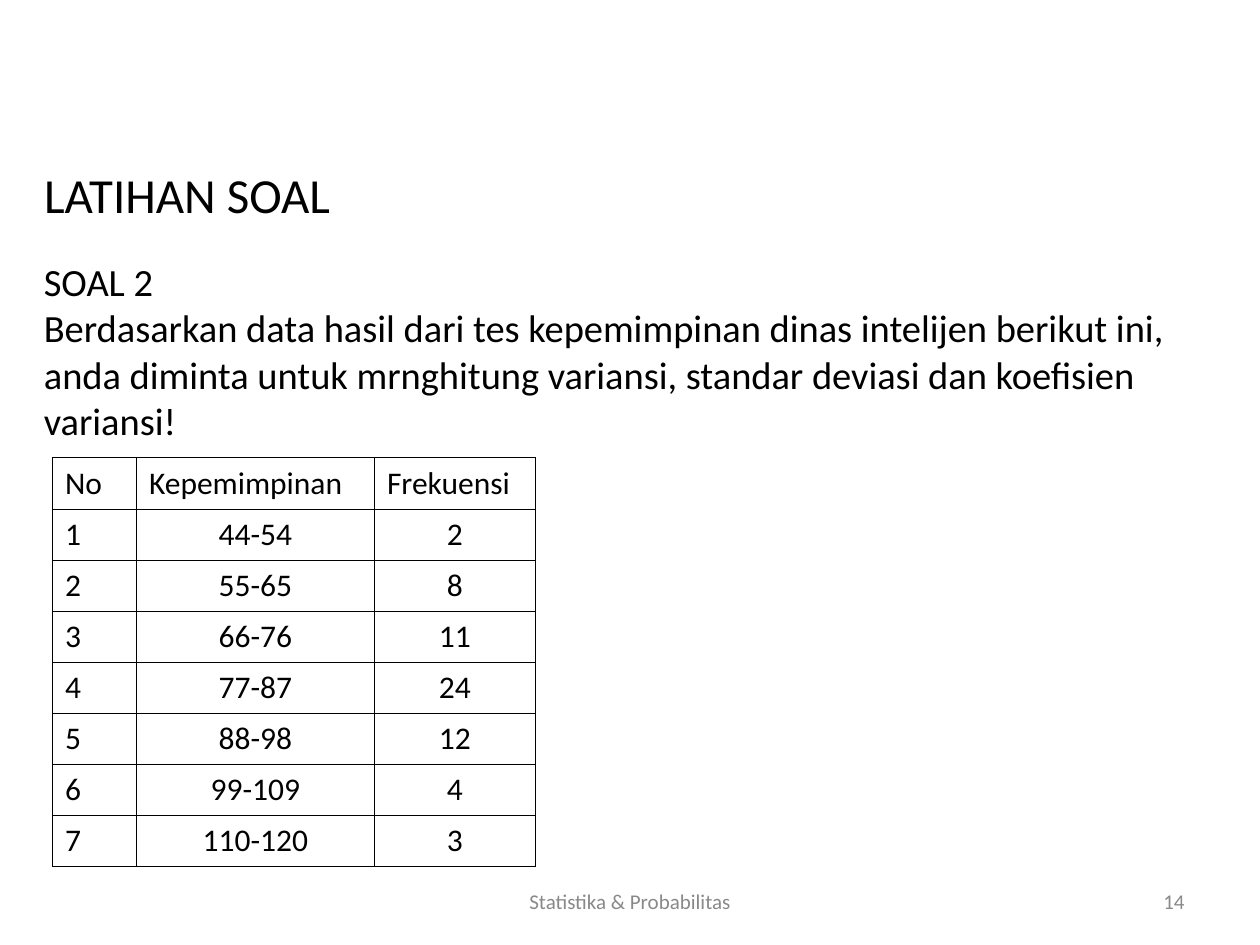
from lxml.etree import SubElement
from pptx import Presentation
from pptx.dml.color import RGBColor
from pptx.enum.text import MSO_ANCHOR as Anchor, MSO_AUTO_SIZE as AutoSize, PP_ALIGN as Align
from pptx.oxml.ns import qn
from pptx.util import Pt

TITLE = "LATIHAN SOAL"
QUESTION = [
    "SOAL 2",
    "Berdasarkan data hasil dari tes kepemimpinan dinas intelijen berikut ini, "
    "anda diminta untuk mrnghitung variansi, standar deviasi dan koefisien variansi!",
]
FOOTER = "Statistika & Probabilitas"
PAGE_NUMBER = "14"
HEADER = ("No", "Kepemimpinan", "Frekuensi")
SCORES = [
    ("44-54", 2),
    ("55-65", 8),
    ("66-76", 11),
    ("77-87", 24),
    ("88-98", 12),
    ("99-109", 4),
    ("110-120", 3),
]

FONT = "Calibri"
COLORS = {"text": "000000", "footer": "898989", "border": "000000"}
COLUMN_WIDTHS = (48, 136, 92)
ROW_HEIGHT = 28.8
BORDER_WIDTH = 0.45


def style_paragraph(paragraph, size, color="text", align=Align.LEFT):
    paragraph.alignment = align
    font = paragraph.font
    font.name, font.size, font.bold = FONT, Pt(size), False
    font.color.rgb = RGBColor.from_string(COLORS[color])


def fill_box(box, place, lines, size, color="text", align=Align.LEFT, anchor=Anchor.MIDDLE):
    box.left, box.top, box.width, box.height = (Pt(length) for length in place)
    frame = box.text_frame
    frame.word_wrap = True
    frame.auto_size = AutoSize.NONE
    frame.vertical_anchor = anchor
    frame.text = "\n".join(lines)
    for paragraph in frame.paragraphs:
        style_paragraph(paragraph, size, color, align)


def add_text(page, place, lines, size, **style):
    fill_box(page.shapes.add_textbox(0, 0, 0, 0), place, lines, size, **style)


def draw_borders(cell):
    properties = cell._tc.get_or_add_tcPr()
    for side in ("a:lnL", "a:lnR", "a:lnT", "a:lnB"):
        line = SubElement(properties, qn(side), w=str(Pt(BORDER_WIDTH)))
        SubElement(SubElement(line, qn("a:solidFill")), qn("a:srgbClr"), val=COLORS["border"])


def add_score_table(page, left, top):
    rows = [HEADER] + [(number, *score) for number, score in enumerate(SCORES, 1)]
    table = page.shapes.add_table(
        len(rows), len(HEADER), Pt(left), Pt(top),
        Pt(sum(COLUMN_WIDTHS)), Pt(ROW_HEIGHT * len(rows)),
    ).table
    table.first_row = table.horz_banding = False
    for column, width in zip(table.columns, COLUMN_WIDTHS):
        column.width = Pt(width)
    for row_index, values in enumerate(rows):
        table.rows[row_index].height = Pt(ROW_HEIGHT)
        for column_index, value in enumerate(values):
            cell = table.cell(row_index, column_index)
            cell.text = str(value)
            centred = row_index > 0 and column_index > 0
            style_paragraph(cell.text_frame.paragraphs[0], 18,
                            align=Align.CENTER if centred else Align.LEFT)
            draw_borders(cell)
            cell.fill.background()


def main():
    deck = Presentation()
    deck.slide_width, deck.slide_height = Pt(720), Pt(540)
    page = deck.slides.add_slide(deck.slide_layouts.get_by_name("Title Only"))

    add_text(page, (18, 144, 678, 140), QUESTION, 22, anchor=Anchor.TOP)
    fill_box(page.shapes.title, (18, 66, 648, 90), [TITLE], 28)
    add_text(page, (516, 500.5, 168, 28.8), [PAGE_NUMBER], 12, color="footer", align=Align.RIGHT)
    add_text(page, (246, 500.5, 228, 28.8), [FOOTER], 12, color="footer", align=Align.CENTER)
    add_score_table(page, 30, 261.6)

    deck.save("out.pptx")


if __name__ == "__main__":
    main()
